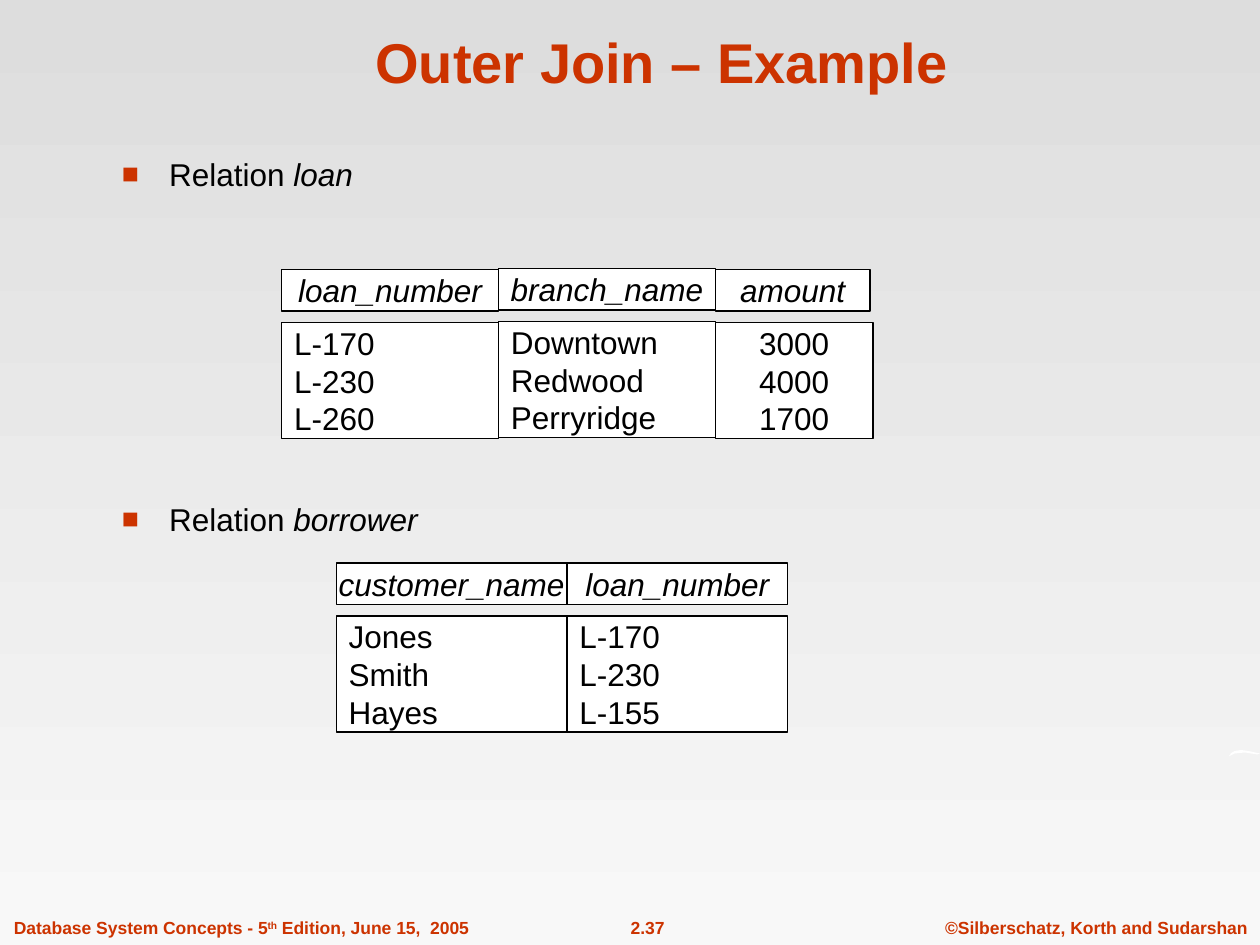
"""Build the outer join example slide with its two relations."""
from dataclasses import dataclass

from lxml import etree
from pptx import Presentation
from pptx import util as u
from pptx.dml.color import RGBColor
from pptx.enum import shapes, text
from pptx.oxml import ns

LEFT, MID = text.PP_ALIGN.LEFT, text.PP_ALIGN.CENTER


@dataclass(frozen=True)
class Theme:
    font: str = "Arial"
    red: str = "CC3300"
    ink: str = "000000"
    paper: str = "FFFFFF"
    top: str = "DDDDDD"
    base: str = "F8F8F8"
    title: int = 32
    body: int = 18
    foot: int = 10


def hue(code):
    return RGBColor.from_string(code)


class Deck:
    def __init__(self, theme):
        self.theme = theme
        self.file = Presentation()
        self.file.slide_width, self.file.slide_height = u.Cm(25.4), u.Cm(19.05)
        self.slide = self.file.slides.add_slide(self.file.slide_layouts[6])

    def back(self):
        fill = self.slide.background.fill
        fill.gradient()
        fill.gradient_angle = 270
        for stop, code in zip(fill.gradient_stops, (self.theme.top, self.theme.base)):
            stop.color.rgb = hue(code)

    def style(self, frame, size, code, bold=False, align=LEFT):
        for para in frame.paragraphs:
            para.alignment = align
            for run in para.runs:
                font = run.font
                font.name, font.size, font.bold = self.theme.font, u.Pt(size), bold
                font.color.rgb = hue(code)

    def label(self, words, left, top, wide, high, wrap=True):
        box = self.slide.shapes.add_textbox(*map(u.Cm, (left, top, wide, high)))
        frame = box.text_frame
        frame.word_wrap = wrap
        frame.text = words
        return frame

    def title(self, words):
        frame = self.label(words, 2.13, 0.33, 22.43, 1.7)
        frame.vertical_anchor = text.MSO_ANCHOR.BOTTOM
        self.style(frame, self.theme.title, self.theme.red, True, MID)

    def foot(self, words, left, wide, align=MID, power="", rest=""):
        frame = self.label(words, left, 18.36, wide, 0.69, False)
        frame.auto_size = text.MSO_AUTO_SIZE.SHAPE_TO_FIT_TEXT
        para = frame.paragraphs[0]
        if power:
            run = para.add_run()
            run.text = power
            run.font._element.set("baseline", "30000")
            para.add_run().text = rest
        self.style(frame, self.theme.foot, self.theme.red, True, align)

    def point(self, lead, name, top, wide):
        frame = self.label(lead, 2.21, top, wide, 1.35)
        para = frame.paragraphs[0]
        props = para._p.get_or_add_pPr()
        props.set("marL", str(u.Cm(0.95)))
        props.set("indent", str(u.Cm(-0.95)))
        tint = etree.SubElement(props, ns.qn("a:buClr"))
        etree.SubElement(tint, ns.qn("a:srgbClr"), val=self.theme.red)
        etree.SubElement(props, ns.qn("a:buSzPct"), val="90000")
        etree.SubElement(props, ns.qn("a:buFont"), typeface=self.theme.font)
        etree.SubElement(props, ns.qn("a:buChar"), char="■")
        run = para.add_run()
        run.text = name
        run.font.italic = True
        self.style(frame, self.theme.body, self.theme.ink)

    def cell(self, group, words, spot, align, slant=False):
        box = group.shapes.add_shape(shapes.MSO_SHAPE.RECTANGLE, *map(u.Cm, spot))
        box.shadow.inherit = False
        box.fill.solid()
        box.fill.fore_color.rgb = hue(self.theme.paper)
        box.line.color.rgb = hue(self.theme.ink)
        box.line.width = u.Pt(0.75)
        frame = box.text_frame
        frame.word_wrap = False
        frame.vertical_anchor = text.MSO_ANCHOR.MIDDLE
        frame.text = words
        self.style(frame, self.theme.body, self.theme.ink, align=align)
        for para in frame.paragraphs:
            for run in para.runs:
                run.font.italic = slant

    def table(self, left, top, cols):
        group = self.slide.shapes.add_group_shape()
        for name, rows, head, wide, lift, align in cols:
            high = top - lift
            self.cell(group, name, (left, high, head, 0.84), MID, True)
            self.cell(group, "\n".join(rows), (left, high + 1.07, wide, 2.34), align)
            left += wide

    def swoosh(self, dots):
        first, *rest = [(u.Cm(x), u.Cm(y)) for x, y in dots]
        pen = self.slide.shapes.build_freeform(*first)
        pen.add_line_segments(rest)
        form = pen.convert_to_shape()
        form.shadow.inherit = False
        form.fill.solid()
        form.fill.fore_color.rgb = hue(self.theme.paper)
        form.line.fill.background()


def main():
    deck = Deck(Theme())
    deck.back()
    deck.foot("©Silberschatz, Korth and Sudarshan", 18.8, 6.6)
    deck.foot("2.37", 11.81, 2.49)
    deck.foot("Database System Concepts - 5", 0.03, 9.68, LEFT,
              "th", " Edition, June 15,  2005")
    deck.swoosh([(24.77, 15.25), (24.82, 15.18), (24.89, 15.14), (25.02, 15.12),
                 (25.17, 15.14), (25.3, 15.17), (25.4, 15.19), (25.35, 15.21),
                 (25.22, 15.19), (25.1, 15.17), (24.89, 15.19), (24.79, 15.24)])
    deck.title("Outer Join – Example")
    deck.point("Relation ", "loan", 3, 19.05)
    deck.point("Relation ", "borrower", 9.96, 19.53)
    deck.table(6.78, 11.35, [
        ("customer_name", ("Jones", "Smith", "Hayes"), 4.65, 4.65, 0, LEFT),
        ("loan_number", ("L-170", "L-230", "L-155"), 4.45, 4.45, 0, LEFT),
    ])
    deck.table(5.68, 5.43, [
        ("loan_number", ("L-170", "L-230", "L-260"), 4.37, 4.37, 0, LEFT),
        ("branch_name", ("Downtown", "Redwood", "Perryridge"), 4.37, 4.37, 0.02, LEFT),
        ("amount", ("3000", "4000", "1700"), 3.12, 3.18, 0, MID),
    ])
    deck.file.save("out.pptx")


if __name__ == "__main__":
    main()
